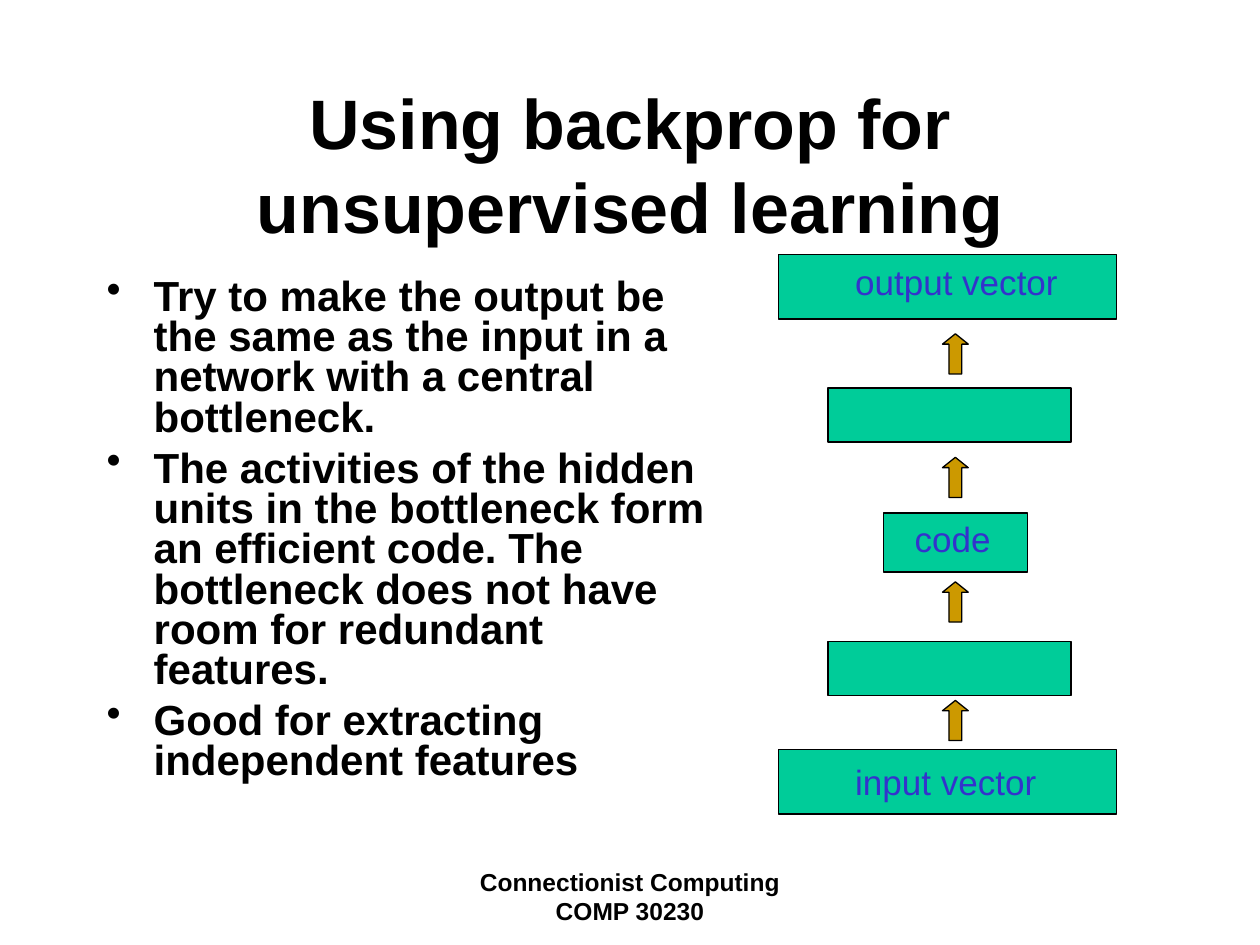
from pptx import Presentation
from pptx.dml.color import RGBColor
from pptx.enum.shapes import MSO_SHAPE
from pptx.enum.text import MSO_ANCHOR, MSO_AUTO_SIZE, PP_ALIGN
from pptx.oxml import parse_xml
from pptx.oxml.ns import nsdecls
from pptx.util import Cm, Pt

COLOURS = {
    "ink": "000000",
    "layer": "00CC99",
    "arrow": "CC9900",
    "label": "3333CC",
}

BULLETS = [
    "Try to make the output be the same as the input in a network with a "
    "central bottleneck.",
    "The activities of the hidden units in the bottleneck form an efficient "
    "code. The bottleneck does not have room for redundant features.",
    "Good for extracting independent features",
]

# Layers of the network from top to bottom: left, top, width, height in cm
LAYERS = [
    (15.7, 5.13, 6.81, 1.3),
    (16.69, 7.82, 4.9, 1.09),
    (17.81, 10.34, 2.9, 1.19),
    (16.69, 12.93, 4.9, 1.09),
    (15.7, 15.11, 6.81, 1.3),
]
LABELS = [
    ("output vector", (16.99, 5.13, 5, 1.12)),
    ("code", (18.19, 10.31, 2.11, 1.12)),
    ("input vector", (16.99, 15.21, 5, 1.12)),
]
ARROW_TOPS = [6.73, 9.22, 11.73, 14.12]


class SlideBuilder:
    """Holds the text style and the slide being filled."""

    font_name = "Arial"

    def __init__(self, page):
        self.page = page

    def colour(self, name):
        return RGBColor.from_string(COLOURS[name])

    def format_font(self, font, size, bold=True, colour="ink"):
        values = {"name": self.font_name, "size": Pt(size), "bold": bold}
        for key, value in values.items():
            setattr(font, key, value)
        font.color.rgb = self.colour(colour)

    def title(self, text, place, size):
        box = self.page.shapes.title
        values = dict(zip(("left", "top", "width", "height"), map(Cm, place)))
        for key, value in values.items():
            setattr(box, key, value)
        frame = box.text_frame
        frame.text = text
        frame.auto_size = MSO_AUTO_SIZE.NONE
        frame.vertical_anchor = MSO_ANCHOR.MIDDLE
        para = frame.paragraphs[0]
        para.alignment = PP_ALIGN.CENTER
        self.format_font(para.runs[0].font, size)

    def text(self, text, place, size, align=PP_ALIGN.LEFT, **style):
        box = self.page.shapes.add_textbox(*map(Cm, place))
        box.text_frame.word_wrap = True
        para = box.text_frame.paragraphs[0]
        para.alignment = align
        span = para.add_run()
        span.text = text
        self.format_font(span.font, size, **style)

    def bullets(self, items, place, size):
        frame = self.page.shapes.add_textbox(*map(Cm, place)).text_frame
        frame.word_wrap = True
        for index, item in enumerate(items):
            para = frame.add_paragraph() if index else frame.paragraphs[0]
            para.line_spacing = 0.8
            para.space_before = Pt(6 if index else 0)
            properties = para._p.get_or_add_pPr()
            properties.set("marL", str(Cm(0.95)))
            properties.set("indent", str(-Cm(0.95)))
            properties.append(parse_xml(f'<a:buChar {nsdecls("a")} char="•"/>'))
            span = para.add_run()
            span.text = item
            self.format_font(span.font, size)

    def shape(self, kind, place, fill):
        shape = self.page.shapes.add_shape(kind, *map(Cm, place))
        shape.shadow.inherit = False
        shape.fill.solid()
        shape.fill.fore_color.rgb = self.colour(fill)
        shape.line.color.rgb = self.colour("ink")
        shape.line.width = Pt(0.75)
        return shape

    def up_arrow(self, place):
        arrow = self.shape(MSO_SHAPE.UP_ARROW, place, "arrow")
        arrow.adjustments[0] = 0.5
        arrow.adjustments[1] = 0.4


def main():
    deck = Presentation()
    deck.slide_width, deck.slide_height = Cm(25.4), Cm(19.05)
    builder = SlideBuilder(deck.slides.add_slide(deck.slide_layouts[5]))

    # Title, bullet list and footer
    builder.title("Using backprop for unsupervised learning",
                  (1.9, 1.7, 21.6, 3.18), 40)
    builder.bullets(BULLETS, (1.9, 5.5, 12.9, 11.43), 24)
    builder.text("Connectionist Computing COMP 30230",
                 (8.68, 17.35, 8.04, 1.27), 14, PP_ALIGN.CENTER)

    # Network diagram
    for place in LAYERS:
        builder.shape(MSO_SHAPE.RECTANGLE, place, "layer")
    for text, place in LABELS:
        builder.text(text, place, 20, bold=False, colour="label")
    for top in ARROW_TOPS:
        builder.up_arrow((19, top, 0.52, 0.81))

    deck.save("out.pptx")


if __name__ == "__main__":
    main()
